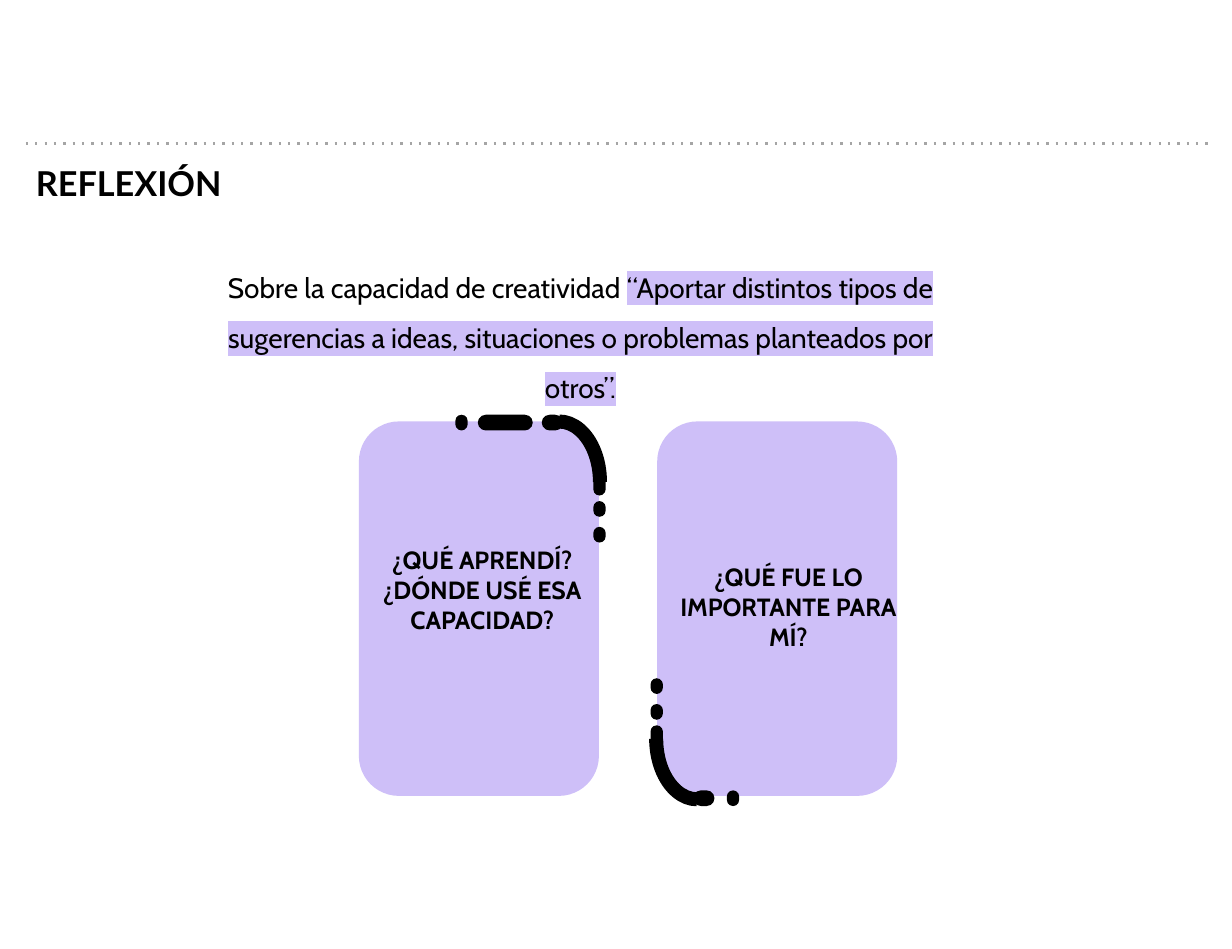
from lxml import etree
from pptx import Presentation
from pptx import util as u
from pptx.dml.color import RGBColor
from pptx.enum import dml, shapes, text
from pptx.oxml.ns import qn

# Content (lengths in px, 100 px to the inch)
COLORS = {"ink": "000000", "lilac": "CEBFF8", "rule": "A5A5A5", "paper": "FFFFFF"}
SLIDE_SIZE = (10044113, 7740650)  # EMU, 27.9 by 21.5 cm
TITLE = ("REFLEXIÓN", (22, 135, 730, 63))
INTRO_BOX = (168, 221, 699, 131)
INTRO = [
    ("Sobre la capacidad de creatividad ", False),
    ("“Aportar distintos tipos de sugerencias a ideas, situaciones o "
     "problemas planteados por otros”.", True),
]
CARD_LEFTS = (320, 586)
CARD_TOP, CARD_W, CARD_H = 376, 214, 334
QUESTIONS = [
    ("¿QUÉ APRENDÍ? ¿DÓNDE USÉ ESA CAPACIDAD?", (320, 481, 220, 84)),
    ("¿QUÉ FUE LO IMPORTANTE PARA MÍ?", (591, 496, 224, 60)),
]
# Corner ornament; the right card repeats it after a half turn
ARC = (462, 376, 73, 108)
DASHES = [(483, 370, 19, 14), (529, 423, 11, 19),
          (529, 447, 11, 14), (529, 470, 11, 14)]
LEFT_ONLY = [(426, 370, 49, 14), (406, 370, 11, 14)]
RIGHT_ONLY = [(461, 370, 11, 14)]
TURN_W, TURN_H = 1120, 1089

PX = 9144


def emu(*lengths):
    return [u.Emu(n * PX) for n in lengths]


def rgb(name):
    return RGBColor.from_string(COLORS[name])


def add_run(p, words, size, font="Cabin", bold=False, marked=False):
    r = p.add_run()
    r.text = words
    r.font.size, r.font.bold = u.Pt(size), bold
    r.font.color.rgb = rgb("ink")
    if marked:
        mark = etree.SubElement(r._r.get_or_add_rPr(), qn("a:highlight"))
        etree.SubElement(mark, qn("a:srgbClr"), val=COLORS["lilac"])
    r.font.name = font


def add_text(s, box):
    tf = s.shapes.add_textbox(*emu(*box)).text_frame
    tf.word_wrap = True
    p = tf.paragraphs[0]
    p.alignment = text.PP_ALIGN.CENTER
    return p


def add_round(s, box, color, corner):
    sp = s.shapes.add_shape(shapes.MSO_SHAPE.ROUNDED_RECTANGLE, *emu(*box))
    sp.shadow.inherit = False
    sp.adjustments[0] = corner
    sp.fill.solid()
    sp.fill.fore_color.rgb = rgb(color)
    sp.line.fill.background()
    return sp


def add_ornament(s, dashes, turned):
    def place(box):
        x, y, w, h = box
        return (TURN_W - x - w, TURN_H - y - h, w, h) if turned else box

    angle = 180 if turned else 0
    arc = s.shapes.add_shape(shapes.MSO_SHAPE.ARC, *emu(*place(ARC)))
    arc.shadow.inherit = False
    arc.fill.background()
    arc.line.color.rgb = rgb("ink")
    arc.line.width = u.Pt(9)
    arc.rotation = angle
    for dash in dashes:
        add_round(s, place(dash), "ink", 0.5).rotation = angle


def main():
    prs = Presentation()
    prs.slide_width, prs.slide_height = SLIDE_SIZE
    s = prs.slides.add_slide(prs.slide_layouts[5])
    s.background.fill.solid()
    s.background.fill.fore_color.rgb = rgb("paper")

    # Dotted rule
    rule = s.shapes.add_connector(shapes.MSO_CONNECTOR.STRAIGHT,
                                  *emu(23, 128, 1082, 128))
    rule.line.color.rgb = rgb("rule")
    rule.line.width = u.Pt(1.5)
    rule.line.dash_style = dml.MSO_LINE.ROUND_DOT
    sp_pr = rule._element.spPr
    sp_pr.find(".//" + qn("a:prstDash")).set("val", "dot")
    etree.SubElement(sp_pr, qn("a:effectLst"))

    # Title
    words, box = TITLE
    title = s.shapes.title
    title.left, title.top, title.width, title.height = emu(*box)
    tf = title.text_frame
    tf.word_wrap = True
    tf.auto_size = text.MSO_AUTO_SIZE.NONE
    tf.vertical_anchor = text.MSO_ANCHOR.TOP
    tf.margin_top, tf.margin_bottom = emu(10, 10)
    tf.paragraphs[0].alignment = text.PP_ALIGN.LEFT
    add_run(tf.paragraphs[0], words, 22, "Lato", bold=True)

    # Introduction
    p = add_text(s, INTRO_BOX)
    p.line_spacing = 1.5
    for words, marked in INTRO:
        add_run(p, words, 18, marked=marked)

    # Cards and questions
    for left in CARD_LEFTS:
        add_round(s, (left, CARD_TOP, CARD_W, CARD_H), "lilac", 0.167)
    for words, box in QUESTIONS:
        add_run(add_text(s, box), words, 16, bold=True, marked=True)

    # Corner ornaments
    add_ornament(s, DASHES + LEFT_ONLY, turned=False)
    add_ornament(s, DASHES + RIGHT_ONLY, turned=True)

    prs.save("out.pptx")


if __name__ == "__main__":
    main()
